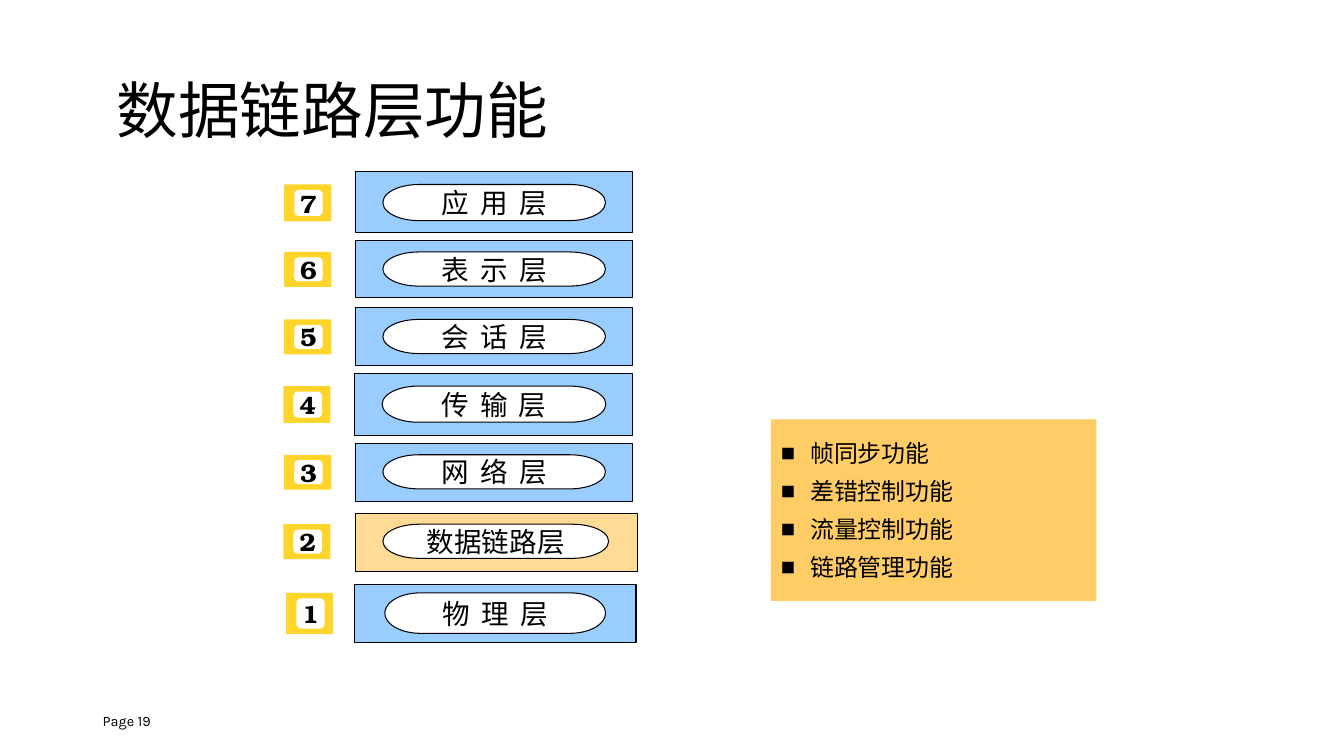
from dataclasses import dataclass
from typing import Optional

from lxml.etree import SubElement
from pptx import Presentation
from pptx.dml.color import RGBColor
from pptx.enum.shapes import MSO_SHAPE
from pptx.enum.text import MSO_ANCHOR, PP_ALIGN
from pptx.oxml.ns import qn
from pptx.shapes.autoshape import Shape
from pptx.shapes.group import GroupShape
from pptx.slide import Slide
from pptx.util import Cm, Pt


@dataclass(frozen=True)
class Theme:
    black: str = "000000"
    white: str = "FFFFFF"
    blue: str = "99CCFF"
    orange: str = "FFCC66"
    yellow: str = "FFCC00"
    chinese_font: str = "Noto Sans CJK SC"
    label_font: str = "Times New Roman"
    number_font: str = "TeX Gyre Bonum"
    footer_font: str = "Karla"
    title_size: float = 44
    label_size: float = 19.7
    number_size: float = 18
    list_size: float = 17.1
    footer_size: float = 10.3
    outline: float = 0.75


@dataclass(frozen=True)
class Box:
    left: float
    top: float
    width: float
    height: float


@dataclass(frozen=True)
class Layer:
    number: int
    label: str
    band: Box
    pill: Box
    badge_left: float = 7.16
    color: str = "99CCFF"
    opacity: int = 100


THEME = Theme()
LAYERS = [
    Layer(7, "应 用 层", Box(8.97, 4.32, 6.98, 1.55), Box(9.65, 4.65, 5.61, 0.91)),
    Layer(6, "表 示 层", Box(8.97, 6.05, 6.98, 1.45), Box(9.65, 6.35, 5.61, 0.86)),
    Layer(5, "会 话 层", Box(8.97, 7.75, 6.98, 1.47), Box(9.65, 8.05, 5.61, 0.86)),
    Layer(4, "传 输 层", Box(8.94, 9.42, 7.01, 1.55), Box(9.63, 9.73, 5.64, 0.91), 7.14),
    Layer(3, "网 络 层", Box(8.97, 11.18, 6.98, 1.47), Box(9.65, 11.46, 5.61, 0.86)),
    Layer(2, "数据链路层", Box(8.97, 12.93, 7.09, 1.47), Box(9.65, 13.21, 5.69, 0.86),
          7.14, THEME.orange, 69),
    Layer(1, "物 理 层", Box(8.94, 14.73, 7.09, 1.47), Box(9.7, 14.94, 5.56, 1.02), 7.21),
]
FUNCTIONS = ["帧同步功能", "差错控制功能", "流量控制功能", "链路管理功能"]


def format_text(shape: Shape, size: float, font: str, bold: bool = False, tracking: float = 0) -> None:
    for paragraph in shape.text_frame.paragraphs:
        for run in paragraph.runs:
            run.font.size = Pt(size)
            run.font.name = font
            run.font.bold = bold
            run.font.color.rgb = RGBColor.from_string(THEME.black)
            properties = run.font._element
            SubElement(properties, qn("a:ea"), typeface=THEME.chinese_font)
            if tracking:
                properties.set("spc", str(int(tracking * 100)))


def draw_shape(parent: Slide | GroupShape, kind: MSO_SHAPE, box: Box, color: str,
               line: Optional[str] = None, opacity: int = 100) -> Shape:
    shape = parent.shapes.add_shape(kind, Cm(box.left), Cm(box.top), Cm(box.width), Cm(box.height))
    shape.shadow.inherit = False
    shape.fill.solid()
    shape.fill.fore_color.rgb = RGBColor.from_string(color)
    if opacity < 100:
        color_element = shape._element.spPr.find(qn("a:solidFill"))[0]
        SubElement(color_element, qn("a:alpha"), val=str(opacity * 1000))
    if line:
        shape.line.color.rgb = RGBColor.from_string(line)
        shape.line.width = Pt(THEME.outline)
    else:
        shape.line.fill.background()
    return shape


def write_centred(shape: Shape, text: str) -> None:
    frame = shape.text_frame
    frame.text = text
    frame.word_wrap = False
    frame.vertical_anchor = MSO_ANCHOR.MIDDLE
    frame.paragraphs[0].alignment = PP_ALIGN.CENTER


def draw_layer(slide: Slide, layer: Layer) -> None:
    group = slide.shapes.add_group_shape()
    badge = Box(layer.badge_left, layer.pill.top, 1.19, layer.pill.height + 0.02)
    tile = Box(badge.left + 0.27, badge.top + 0.15, 0.69, badge.height - 0.3)
    draw_shape(group, MSO_SHAPE.RECTANGLE, badge, THEME.yellow, opacity=83)
    number = draw_shape(group, MSO_SHAPE.FLOWCHART_ALTERNATE_PROCESS, tile, THEME.white, THEME.white)
    write_centred(number, str(layer.number))
    format_text(number, THEME.number_size, THEME.number_font, bold=True)
    draw_shape(group, MSO_SHAPE.RECTANGLE, layer.band, layer.color, THEME.black, layer.opacity)
    pill = draw_shape(group, MSO_SHAPE.FLOWCHART_TERMINATOR, layer.pill, THEME.white, THEME.black)
    write_centred(pill, layer.label)
    format_text(pill, THEME.label_size, THEME.label_font, tracking=1.8 if " " in layer.label else 0)


def draw_function_list(slide: Slide) -> None:
    panel = draw_shape(slide, MSO_SHAPE.RECTANGLE, Box(19.43, 10.57, 8.2, 4.57), THEME.orange)
    frame = panel.text_frame
    frame.text = "\n".join(FUNCTIONS)
    frame.word_wrap = True
    frame.vertical_anchor = MSO_ANCHOR.MIDDLE
    for index, paragraph in enumerate(frame.paragraphs):
        paragraph.alignment = PP_ALIGN.LEFT
        if index:
            paragraph.space_before = Pt(6.6)
        properties = paragraph._p.get_or_add_pPr()
        properties.set("marL", str(Cm(0.74)))
        properties.set("indent", str(-Cm(0.74)))
        bullet_color = SubElement(properties, qn("a:buClr"))
        SubElement(bullet_color, qn("a:srgbClr"), val=THEME.black)
        SubElement(properties, qn("a:buSzPct"), val="60000")
        SubElement(properties, qn("a:buFont"), typeface=THEME.chinese_font)
        SubElement(properties, qn("a:buChar"), char="■")
    format_text(panel, THEME.list_size, THEME.chinese_font)


def write_title(slide: Slide) -> None:
    title = slide.shapes.title
    title.left, title.top, title.width, title.height = Cm(2.34), Cm(1.02), Cm(29.21), Cm(3.68)
    frame = title.text_frame
    frame.text = "数据链路层功能"
    frame.margin_left = Cm(0.6)
    frame.vertical_anchor = MSO_ANCHOR.MIDDLE
    frame.paragraphs[0].alignment = PP_ALIGN.LEFT
    frame.paragraphs[0].line_spacing = 0.9
    format_text(title, THEME.title_size, THEME.chinese_font)


def write_page_number(slide: Slide) -> None:
    footer = slide.shapes.add_textbox(Cm(2.34), Cm(17.65), Cm(7.62), Cm(1.02))
    footer.text_frame.text = "Page 19"
    footer.text_frame.word_wrap = True
    footer.text_frame.vertical_anchor = MSO_ANCHOR.MIDDLE
    format_text(footer, THEME.footer_size, THEME.footer_font)


def main() -> None:
    presentation = Presentation()
    presentation.slide_width = Cm(33.87)
    presentation.slide_height = Cm(19.05)
    slide = presentation.slides.add_slide(presentation.slide_layouts[5])
    write_title(slide)
    write_page_number(slide)
    draw_function_list(slide)
    for layer in LAYERS:
        draw_layer(slide, layer)
    presentation.save("out.pptx")


if __name__ == "__main__":
    main()
